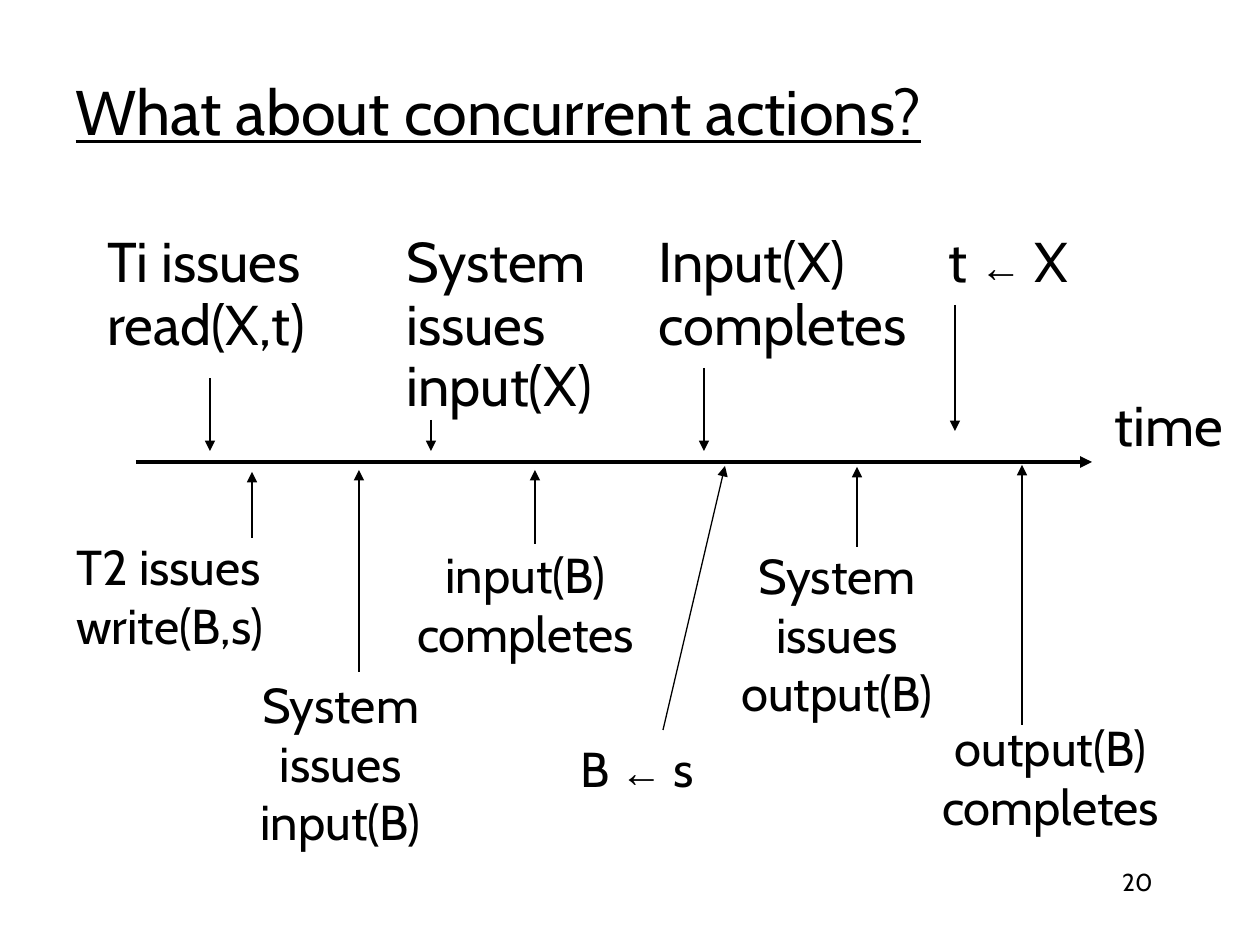
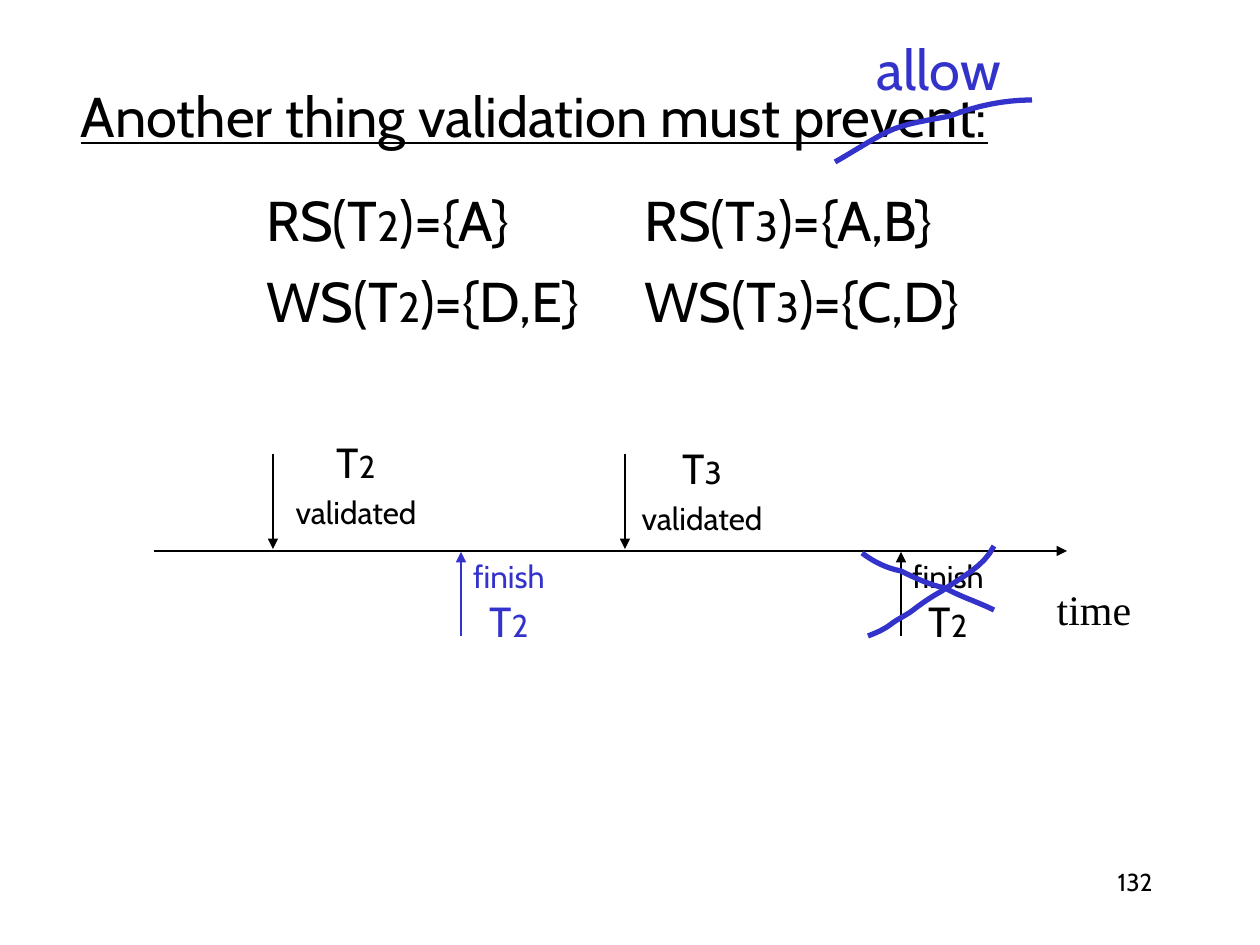
from lxml import etree
from pptx import Presentation
from pptx import util as u
from pptx.dml.color import RGBColor
from pptx.enum import shapes, text
from pptx.oxml.ns import qn

PX = 914400 / 126
BLACK, BLUE = "000000", "3333CC"
CABIN, ARIAL, TIMES = "Cabin", "Arial", "Times New Roman"
LEFT, CENTER, RIGHT = text.PP_ALIGN.LEFT, text.PP_ALIGN.CENTER, text.PP_ALIGN.RIGHT
ASSIGN = ("←", 24, ARIAL)
TITLE_ONLY = 5


def px(length):
    return u.Emu(round(length * PX))


def rgb(color):
    return RGBColor.from_string(color)


def index(digit):
    """Small transaction number beside 32 pt text."""
    return (digit, 24, CABIN)


def sample_curve(start, segments, steps=8):
    """Points along a chain of cubic segments, each given as three points."""
    points = [start]
    for first, second, end in segments:
        begin = points[-1]
        for step in range(1, steps + 1):
            t = step / steps
            weights = ((1 - t) ** 3, 3 * t * (1 - t) ** 2, 3 * t * t * (1 - t), t ** 3)
            corners = (begin, first, second, end)
            points.append(tuple(sum(w * c[axis] for w, c in zip(weights, corners))
                                for axis in (0, 1)))
    return points


class Deck:
    def __init__(self):
        self.presentation = Presentation()
        self.presentation.slide_width = px(1260)
        self.presentation.slide_height = px(945)
        self.slide = None

    def start_slide(self, title, box, size, number):
        layout = self.presentation.slide_layouts[TITLE_ONLY]
        self.slide = self.presentation.slides.add_slide(layout)
        shape = self.slide.shapes.title
        shape.left, shape.top, shape.width, shape.height = map(px, box)
        frame = shape.text_frame
        frame.auto_size = text.MSO_AUTO_SIZE.NONE
        frame.vertical_anchor = text.MSO_ANCHOR.MIDDLE
        paragraph = frame.paragraphs[0]
        paragraph.alignment = LEFT
        self.add_runs(paragraph, [title], size)
        paragraph.runs[0].font.underline = True
        self.text_box((903, 861, 262, 63), [number], 14, align=RIGHT)

    def add_runs(self, paragraph, runs, size, color=BLACK, font=CABIN):
        """Add runs, each a string or a (text, size, font) tuple."""
        for item in runs:
            words, run_size, run_font = (item, size, font) if isinstance(item, str) else item
            run = paragraph.add_run()
            run.text = words
            run.font.size = u.Pt(run_size)
            run.font.name = run_font
            run.font.color.rgb = rgb(color)

    def text_box(self, box, lines, size, color=BLACK, font=CABIN, align=LEFT,
                 before=0, spacing=None, tabs=()):
        """Add a wrapped box; before and spacing apply from the second line on."""
        shape = self.slide.shapes.add_textbox(*map(px, box))
        frame = shape.text_frame
        frame.word_wrap = True
        for position, line in enumerate(lines):
            paragraph = frame.add_paragraph() if position else frame.paragraphs[0]
            paragraph.alignment = align
            if position and before:
                paragraph.space_before = u.Pt(before)
            if position and spacing:
                paragraph.line_spacing = spacing
            if tabs:
                tab_list = etree.SubElement(paragraph._p.get_or_add_pPr(), qn("a:tabLst"))
                for tab in tabs:
                    etree.SubElement(tab_list, qn("a:tab"), pos=str(px(tab)), algn="l")
            self.add_runs(paragraph, [line] if isinstance(line, str) else line,
                          size, color, font)
        return frame

    def label(self, box, lines, size, align=CENTER, **style):
        """Add a text box that fits its text and does not wrap."""
        frame = self.text_box(box, lines, size, align=align, **style)
        frame.word_wrap = False
        frame.auto_size = text.MSO_AUTO_SIZE.SHAPE_TO_FIT_TEXT
        frame.vertical_anchor = text.MSO_ANCHOR.MIDDLE

    def arrow(self, start, end, color=BLACK, width=0.75):
        connector = self.slide.shapes.add_connector(
            shapes.MSO_CONNECTOR.STRAIGHT, *map(px, start + end))
        connector.line.color.rgb = rgb(color)
        connector.line.width = u.Pt(width)
        etree.SubElement(connector.line._get_or_add_ln(), qn("a:tailEnd"), type="triangle")
        etree.SubElement(connector._element.spPr, qn("a:effectLst"))

    def pen_stroke(self, start, *segments):
        points = [(px(x), px(y)) for x, y in sample_curve(start, segments)]
        builder = self.slide.shapes.build_freeform(*points[0])
        builder.add_line_segments(points[1:], close=False)
        shape = builder.convert_to_shape()
        shape.shadow.inherit = False
        shape.fill.background()
        shape.line.color.rgb = rgb(BLUE)
        shape.line.width = u.Pt(3)


def build_concurrent_actions(deck):
    deck.start_slide("What about concurrent actions?", (63, 31, 1071, 158), 36, "20")
    deck.text_box((95, 220, 1071, 210), [
        ["Ti issues\tSystem\tInput(X)\tt ", ASSIGN, " X"],
        "read(X,t)\tissues\tcompletes",
        "\tinput(X)",
    ], 32, before=8, spacing=0.7, tabs=(299, 551, 841))

    deck.arrow((136, 462), (1092, 462), width=2.25)
    deck.label((1092, 384, 154, 81), ["time"], 32)
    for x, top, tip in ((210, 378, 451), (431, 420, 451), (704, 368, 451), (955, 305, 431)):
        deck.arrow((x, top), (x, tip))
    for x, bottom, tip_x, tip in (
            (252, 538, 252, 472), (359, 672, 359, 470), (535, 544, 535, 470),
            (663, 730, 725, 466), (857, 547, 857, 467), (1022, 725, 1022, 465)):
        deck.arrow((x, bottom), (tip_x, tip))

    deck.label((64, 530, 239, 131), ["T2 issues", "write(B,s)"], 28, align=LEFT)
    for box, lines in (
            ((237, 668, 207, 189), ["System", "issues", "input(B)"]),
            ((394, 538, 263, 131), ["input(B)", "completes"]),
            ((562, 732, 150, 72), [["B ", ASSIGN, " s"]]),
            ((716, 539, 242, 189), ["System", "issues", "output(B)"]),
            ((919, 711, 263, 131), ["output(B)", "completes"])):
        deck.label(box, lines, 28)


def build_validation(deck):
    deck.start_slide("Another thing validation must prevent:", (68, 55, 1071, 120), 32, "132")
    deck.text_box((81, 179, 1071, 190), [
        ["\tRS(T", index("2"), ")={A}\tRS(T", index("3"), ")={A,B}"],
        ["\tWS(T", index("2"), ")={D,E}\tWS(T", index("3"), ")={C,D}"],
    ], 32, before=8, tabs=(173, 551))

    deck.arrow((154, 551), (1067, 551))
    deck.label((1034, 577, 120, 63), ["time"], 24, font=TIMES)
    big_t = ("T", 24, CABIN)
    for number, x, label_left, label_top in (("2", 273, 276, 430), ("3", 625, 622, 436)):
        deck.arrow((x, 454), (x, 549))
        deck.label((label_left, label_top, 160, 106), [[big_t, number], "validated"],
                   18, before=11.2, spacing=0.6)
    for x, label_left, color in ((461, 452, BLUE), (901, 891, BLACK)):
        deck.label((label_left, 551, 114, 101), ["finish", [big_t, "2"]], 18, color=color)
        deck.arrow((x, 636), (x, 552), color)

    deck.label((857, 28, 164, 81), ["allow"], 32, color=BLUE)
    deck.pen_stroke((835, 162),
                    ((853, 152), (869, 141), (887, 132)),
                    ((905, 123), (931, 120), (950, 116)),
                    ((976, 106), (1004, 100), (1032, 100)))
    deck.pen_stroke((868, 636),
                    ((876, 633), (883, 630), (890, 625)),
                    ((896, 620), (905, 616), (912, 611)),
                    ((921, 604), (931, 597), (942, 591)),
                    ((960, 578), (984, 567), (994, 546)))
    deck.pen_stroke((862, 553),
                    ((874, 562), (886, 568), (901, 571)),
                    ((915, 578), (930, 585), (945, 588)),
                    ((961, 597), (978, 602), (994, 610)))


def main():
    deck = Deck()
    build_concurrent_actions(deck)
    build_validation(deck)
    deck.presentation.save("out.pptx")


if __name__ == "__main__":
    main()
